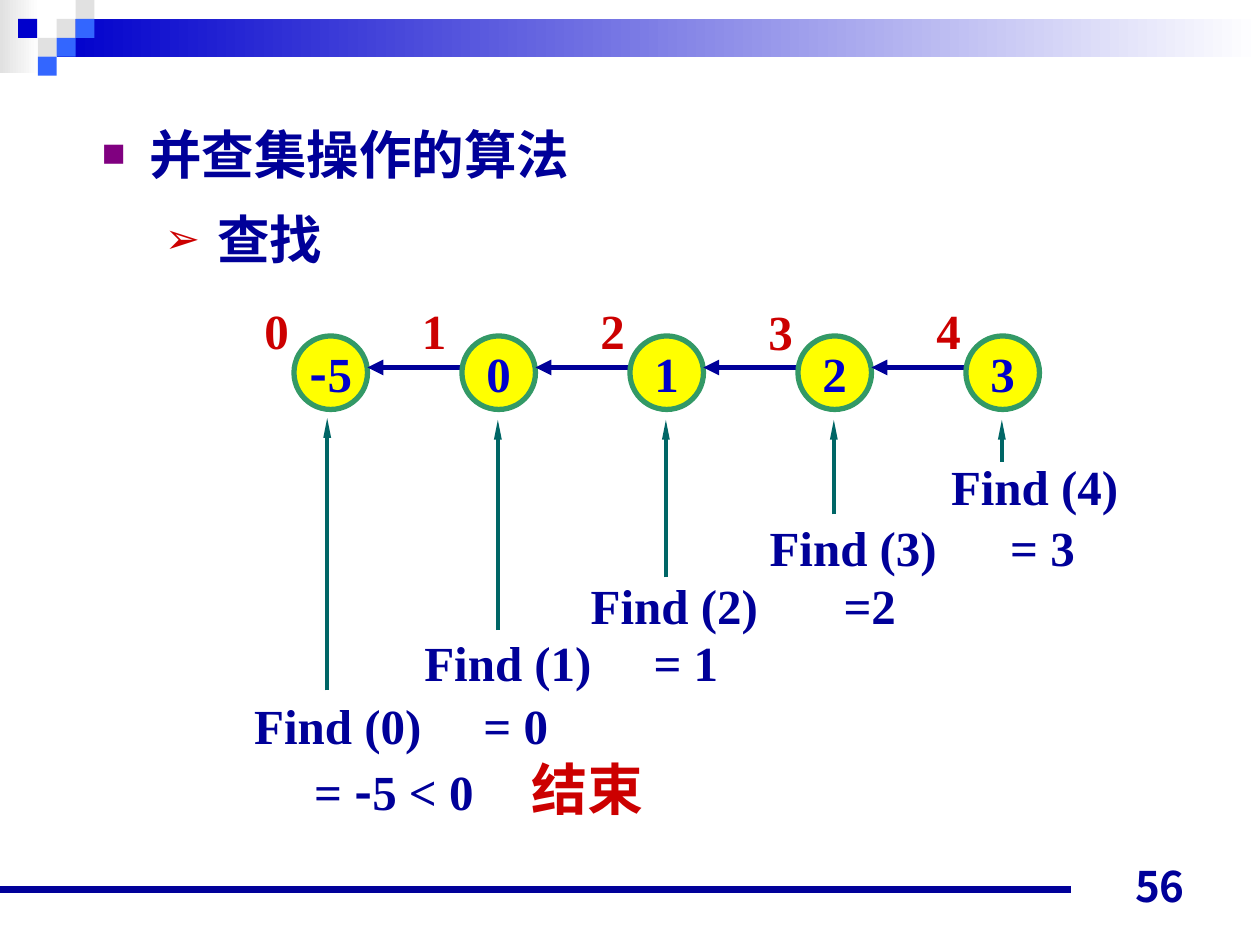
from lxml import etree
from pptx import Presentation
from pptx.dml.color import RGBColor
from pptx.enum.shapes import MSO_CONNECTOR as CONNECTOR, MSO_SHAPE as SHAPE
from pptx.enum.text import MSO_ANCHOR as ANCHOR, MSO_AUTO_SIZE as AUTO_SIZE, PP_ALIGN as ALIGN
from pptx.oxml.ns import qn
from pptx.util import Pt

COLORS = {
    "white": "FFFFFF", "gray": "E1E1E1", "blue": "0000CC", "sky": "3366FF",
    "navy": "000099", "purple": "800080", "red": "CC0000", "yellow": "FFFF00",
    "green": "339966", "teal": "006666",
}
RGB = {name: RGBColor.from_string(value) for name, value in COLORS.items()}
SERIF, CJK = "Times New Roman", "Noto Sans CJK SC"

presentation = Presentation()
presentation.slide_width, presentation.slide_height = Pt(720), Pt(540)
slide = presentation.slides.add_slide(presentation.slide_layouts[1])
shapes = slide.shapes
title = shapes.title.element
title.getparent().remove(title)


def add_line(start, end, color, width, head=None):
    line = shapes.add_connector(CONNECTOR.STRAIGHT, *map(Pt, start + end))
    line.line.color.rgb = RGB[color]
    line.line.width = Pt(width)
    if head:
        head_width, head_length = head
        etree.SubElement(line.line._ln, qn("a:tailEnd"), type="triangle",
                         w=head_width, len=head_length)
    etree.SubElement(line.element.spPr, qn("a:effectLst"))


def add_runs(paragraph, runs, color, default_size=28, default_font=SERIF):
    for text, changes in runs:
        run = paragraph.add_run()
        run.text = text
        style = {"size": Pt(default_size), "name": default_font, "bold": True} | changes
        run_color = style.pop("color", color)
        for attribute, value in style.items():
            setattr(run.font, attribute, value)
        run.font.color.rgb = RGB[run_color]
        east_asian = etree.Element(qn("a:ea"), typeface=CJK)
        run.font._rPr.find(qn("a:latin")).addnext(east_asian)


bands = [(0, 0, 22.5, 42, "gray"), (32.4, 10.8, 687.6, 21.6, "blue")]
tiles = [
    (32.4, 10.8, "gray"), (43.2, 0, "gray"), (43.2, 10.8, "sky"),
    (21.6, 21.6, "gray"), (10.4, 10.8, "blue"), (32.4, 21.6, "sky"),
    (21.6, 32.4, "sky"),
]
blocks = bands + [(left, top, 10.8, 10.8, color) for left, top, color in tiles]
for index, (left, top, width, height, color) in enumerate(blocks):
    block = shapes.add_shape(SHAPE.RECTANGLE, *map(Pt, (left, top, width, height)))
    block.shadow.inherit = False
    block.line.fill.background()
    if index < len(bands):
        block.fill.gradient()
        block.fill.gradient_angle = 0
        for stop, stop_color in zip(block.fill.gradient_stops, (color, "white")):
            stop.color.rgb = RGB[stop_color]
    else:
        block.fill.solid()
        block.fill.fore_color.rgb = RGB[color]
add_line((0, 508.3), (612, 508.3), "navy", 4.5)

body = slide.placeholders[1]
body.left, body.top, body.width, body.height = map(Pt, (51, 60.5, 612, 324))
body_frame = body.text_frame
body_frame.auto_size = AUTO_SIZE.NONE
outline = [
    ("并查集操作的算法", 27, -27, "■", "purple", 75, 0),
    ("查找", 66, -30, "➢", "red", 80, 7.5),
]
for level, (text, margin, indent, bullet, color, percent, before) in enumerate(outline):
    paragraph = body_frame.add_paragraph() if level else body_frame.paragraphs[0]
    paragraph.level = level
    properties = paragraph._p.get_or_add_pPr()
    properties.set("marL", str(Pt(margin)))
    properties.set("indent", str(Pt(indent)))
    bullet_color = etree.SubElement(properties, qn("a:buClr"))
    etree.SubElement(bullet_color, qn("a:srgbClr"), val=COLORS[color])
    etree.SubElement(properties, qn("a:buSzPct"), val=str(percent * 1000))
    etree.SubElement(properties, qn("a:buFont"), typeface="Arial")
    etree.SubElement(properties, qn("a:buChar"), char=bullet)
    paragraph.line_spacing = 1.15
    paragraph.space_before = Pt(before)
    add_runs(paragraph, [(text, {})], "navy", 30, "Arial")

PITCH, DIAMETER, FIRST_LEFT = 96, 42, 168
minus = ("-", {"name": CJK})
parents = [[minus, ("5", {})]] + [[(str(value), {})] for value in range(4)]
for index, runs in enumerate(parents):
    left = FIRST_LEFT + PITCH * index
    if index:
        add_line((left, 210), (left - PITCH + DIAMETER, 210), "navy", 3, ("med", "med"))
    node = shapes.add_shape(SHAPE.OVAL, *map(Pt, (left, 192, DIAMETER, DIAMETER)))
    node.shadow.inherit = False
    node.fill.solid()
    node.fill.fore_color.rgb = RGB["yellow"]
    node.line.color.rgb = RGB["green"]
    node.line.width = Pt(3)
    node.text_frame.word_wrap = False
    node.text_frame.vertical_anchor = ANCHOR.MIDDLE
    node.text_frame.paragraphs[0].alignment = ALIGN.CENTER
    add_runs(node.text_frame.paragraphs[0], runs, "blue")

for x, start, end in [(187, 394.5, 239), (284.5, 360, 240), (380.5, 330, 240),
                      (476.5, 294, 240), (572.5, 264, 240)]:
    add_line((x, start), (x, end), "teal", 2.25, ("sm", "lg"))

index_places = [(144, 168), (234, 168), (336, 168), (432, 169), (528, 168)]
texts = [
    (left, top, 30, 41, "red", [], [(str(index), {})])
    for index, (left, top) in enumerate(index_places)
]
gap, wide_gap = ("\t", {"size": Pt(32)}), ("\t", {"size": Pt(36)})
texts += [
    (536.4, 257.3, 116, 41, "navy", [], [("Find (4)", {})]),
    (432.7, 288, 196.5, 46, "navy", [137.5], [("Find (3)", {}), gap, ("= 3", {})]),
    (330.5, 321.3, 196.5, 46, "navy", [144.5], [("Find (2)", {}), gap, ("=2", {})]),
    (235.4, 358, 190, 41, "navy", [131], [("Find (1)", {}), ("\t", {}), ("= 1", {})]),
    (138.2, 390, 197, 46, "navy", [131], [("Find (0)", {}), gap, ("= 0", {})]),
    (163.4, 423.4, 222, 50.4, "navy", [9, 133.5],
     [wide_gap, ("= ", {}), minus, ("5 < 0", {}), wide_gap,
      ("结束", {"size": Pt(32), "color": "red"})]),
]
for left, top, width, height, color, stops, runs in texts:
    box = shapes.add_textbox(*map(Pt, (left, top, width, height)))
    box.text_frame.word_wrap = False
    paragraph = box.text_frame.paragraphs[0]
    if stops:
        tab_list = etree.SubElement(paragraph._p.get_or_add_pPr(), qn("a:tabLst"))
        for stop in stops:
            etree.SubElement(tab_list, qn("a:tab"), pos=str(Pt(stop)), algn="l")
    paragraph.alignment = ALIGN.LEFT
    add_runs(paragraph, runs, color)

page_number = shapes.add_textbox(*map(Pt, (516, 488, 168, 36)))
page_number.text_frame.word_wrap = True
page_number.text_frame.vertical_anchor = ANCHOR.BOTTOM
page_number.text_frame.paragraphs[0].alignment = ALIGN.RIGHT
add_runs(page_number.text_frame.paragraphs[0], [("56", {})], "navy", 24, "Noto Sans CJK JP")

presentation.save("out.pptx")
